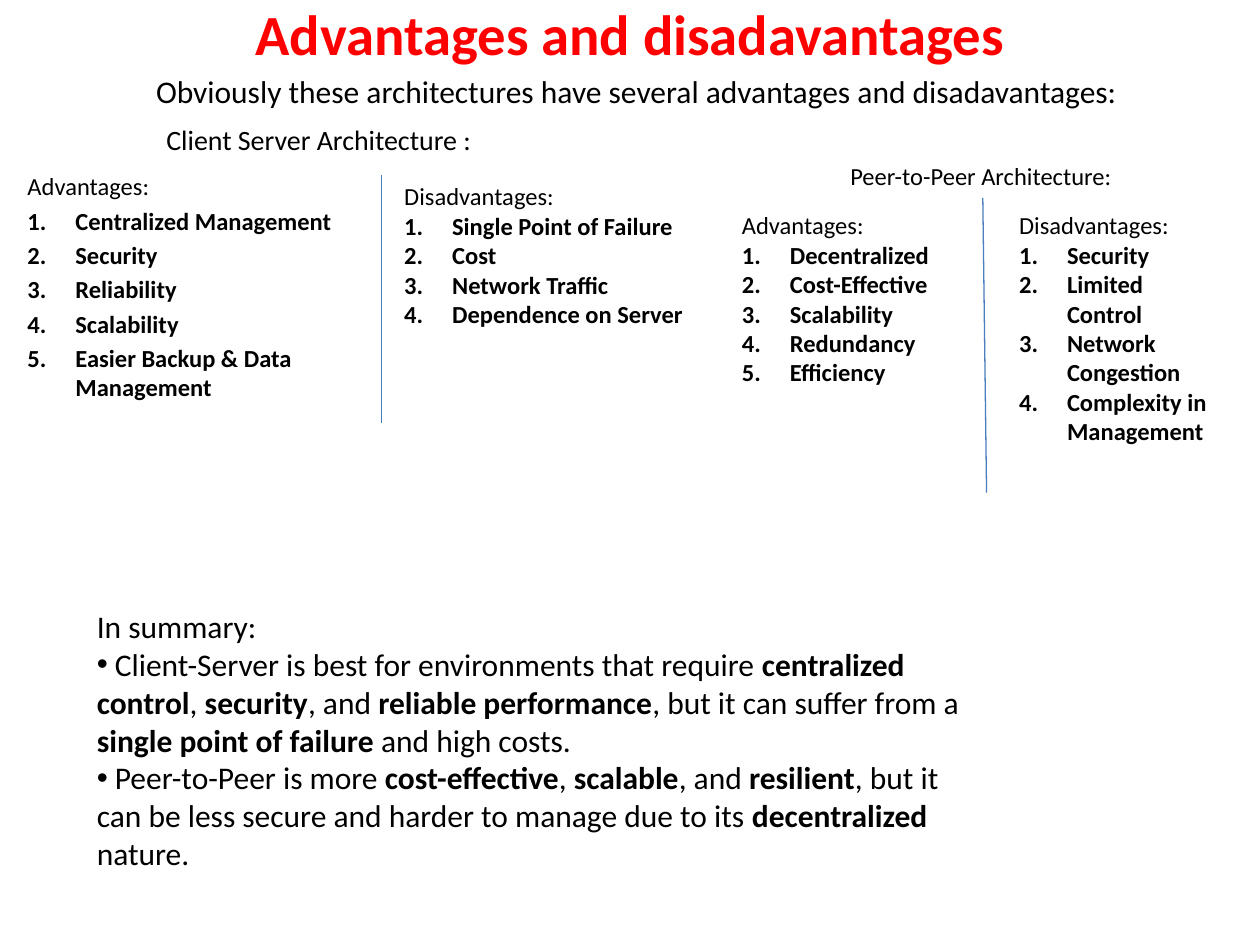
from lxml.etree import SubElement
from pptx import Presentation
from pptx.dml.color import RGBColor
from pptx.enum.shapes import MSO_CONNECTOR
from pptx.enum.text import MSO_ANCHOR, PP_ALIGN
from pptx.oxml.ns import qn
from pptx.util import Inches, Pt

HEADINGS = [
    ("Advantages and disadavantages", (0.5, 0, 9, 0.52),
     dict(size=32.4, color="FF0000", bold=True, align=PP_ALIGN.CENTER, anchor=MSO_ANCHOR.MIDDLE)),
    ("Obviously these architectures have several advantages and disadavantages:",
     (1.14, 0.52, 7.97, 0.4), dict(size=18, wrap=False)),
    ("Client Server Architecture : ", (1.06, 0.92, 2.99, 0.67),
     dict(size=16, align=PP_ALIGN.CENTER)),
    ("Peer-to-Peer Architecture:", (6.65, 1.23, 2.3, 0.34), {}),
]
COLUMNS = [
    ("Advantages:", ["Centralized Management", "Security", "Reliability", "Scalability",
                     "Easier Backup & Data Management"], (0.12, 1.31, 3.23, 2.36), 2.8),
    ("Disadvantages:", ["Single Point of Failure", "Cost", "Network Traffic",
                        "Dependence on Server"], (3.11, 1.39, 2.52, 1.28), 0),
    ("Advantages:", ["Decentralized", "Cost-Effective", "Scalability", "Redundancy",
                     "Efficiency"], (5.79, 1.62, 1.69, 1.51), 0),
    ("Disadvantages:", ["Security", "Limited Control", "Network Congestion",
                        "Complexity in Management"], (7.99, 1.62, 1.81, 1.99), 0),
]
SUMMARY_BOX = (0.67, 4.77, 7.24, 2.22)
SUMMARY_TITLE = "In summary:"
SUMMARY = [
    " Client-Server is best for environments that require **centralized control**, **security**, "
    "and **reliable performance**, but it can suffer from a **single point of failure** "
    "and high costs.",
    " Peer-to-Peer is more **cost-effective**, **scalable**, and **resilient**, but it can be "
    "less secure and harder to manage due to its **decentralized** nature.",
]
DIVIDERS = [(3.03, 1.39, 3.03, 3.36), (7.8, 1.57, 7.83, 3.91)]
NUMBER_INDENT = 0.38


def rgb(value):
    return RGBColor.from_string(value)


def add_box(slide, box, wrap=True, anchor=MSO_ANCHOR.TOP):
    frame = slide.shapes.add_textbox(*map(Inches, box)).text_frame
    frame.word_wrap = wrap
    frame.vertical_anchor = anchor
    return frame


def write(frame, text, size=14, color="000000", bold=False, align=PP_ALIGN.LEFT,
          before=0, numbered=False, bullet=None):
    first = frame.paragraphs[0]
    paragraph = frame.add_paragraph() if first.runs else first
    paragraph.alignment = align
    if before:
        paragraph.space_before = Pt(before)
    properties = paragraph._p.get_or_add_pPr()
    if numbered:
        properties.set("marL", str(Inches(NUMBER_INDENT)))
        properties.set("indent", str(-Inches(NUMBER_INDENT)))
        SubElement(properties, qn("a:buFont"), typeface="+mj-lt")
        SubElement(properties, qn("a:buAutoNum"), type="arabicPeriod")
    elif bullet:
        SubElement(properties, qn("a:buFont"), typeface="Arial")
        SubElement(properties, qn("a:buChar"), char=bullet)
    for index, part in enumerate(text.split("**")):
        run = paragraph.add_run()
        run.text = part
        run.font.name = "Calibri"
        run.font.size = Pt(size)
        run.font.bold = bold or index % 2 == 1
        run.font.color.rgb = rgb(color)


def add_divider(slide, ends):
    divider = slide.shapes.add_connector(MSO_CONNECTOR.STRAIGHT, *map(Inches, ends))
    divider.line.color.rgb = rgb("4B7EBC")
    divider.line.width = Pt(0.75)
    SubElement(divider._element.spPr, qn("a:effectLst"))


def main():
    deck = Presentation()
    deck.slide_width, deck.slide_height = Inches(10), Inches(7.5)
    slide = deck.slides.add_slide(deck.slide_layouts[6])

    for text, box, style in HEADINGS:
        layout = {key: style[key] for key in ("wrap", "anchor") if key in style}
        font = {key: style[key] for key in style if key not in layout}
        write(add_box(slide, box, **layout), text, **font)

    for heading, points, box, gap in COLUMNS:
        column = add_box(slide, box)
        write(column, heading)
        for point in points:
            write(column, point, bold=True, before=gap, numbered=True)

    summary = add_box(slide, SUMMARY_BOX)
    write(summary, SUMMARY_TITLE, size=18)
    for conclusion in SUMMARY:
        write(summary, conclusion, size=18, bullet="•")

    for ends in DIVIDERS:
        add_divider(slide, ends)

    deck.save("out.pptx")


if __name__ == "__main__":
    main()
